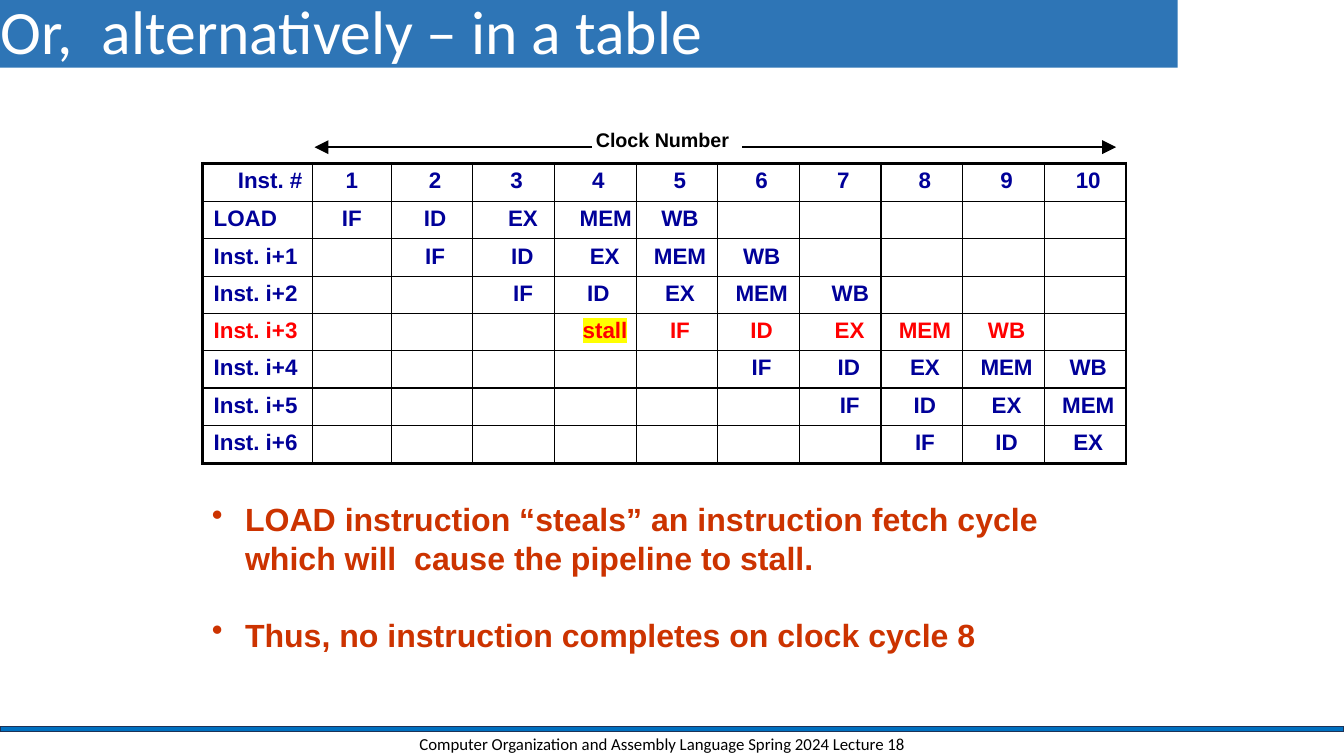
from dataclasses import dataclass

from lxml.etree import SubElement
from pptx import Presentation
from pptx.dml.color import RGBColor as RGB
from pptx.enum.shapes import MSO_CONNECTOR as CONN, MSO_SHAPE as SHAPE
from pptx.enum.text import MSO_ANCHOR as ANCHOR, MSO_AUTO_SIZE as FIT, PP_ALIGN as ALIGN
from pptx.oxml.ns import qn
from pptx.util import Inches, Pt


@dataclass(frozen=True)
class Theme:
    black: str = "000000"
    white: str = "FFFFFF"
    navy: str = "000099"
    red: str = "FF0000"
    rust: str = "CC3300"
    yellow: str = "FFFF00"
    title_fill: str = "2E75B6"
    bar_fill: str = "0070C0"
    bar_line: str = "1E3256"
    title: float = 44
    bullet: float = 22.9
    cell: float = 16
    clock: float = 14.1
    footer: float = 12
    heading_font: str = "Calibri"
    body_font: str = "Arial"


T = Theme()


def write(p, text, color, size, name=T.body_font, bold=True, indent=0, hanging=0, align=ALIGN.LEFT):
    p.alignment = align
    pPr = p._p.get_or_add_pPr()
    pPr.set("marL", str(Inches(indent)))
    pPr.set("indent", str(Inches(hanging)))
    r = p.add_run()
    r.text = text
    for key, value in {"name": name, "size": Pt(size), "bold": bold}.items():
        setattr(r.font, key, value)
    r.font.color.rgb = RGB.from_string(color)
    return r


def set_frame(tf, left=0, top=0, right=0, bottom=0, wrap=True, anchor=ANCHOR.TOP):
    frame = {"margin_left": Inches(left), "margin_top": Inches(top), "margin_right": Inches(right),
             "margin_bottom": Inches(bottom), "word_wrap": wrap, "vertical_anchor": anchor,
             "auto_size": FIT.NONE}
    for key, value in frame.items():
        setattr(tf, key, value)
    return tf.paragraphs[0]


prs = Presentation()
prs.slide_width, prs.slide_height = Inches(13.33), Inches(7.5)
s = prs.slides.add_slide(prs.slide_layouts[5])

# Title band
title = s.shapes.title
title.left, title.top, title.width, title.height = map(Inches, (0, -0.08, 11.68, 0.75))
title.fill.solid()
title.fill.fore_color.rgb = RGB.from_string(T.title_fill)
p = set_frame(title.text_frame, top=0.01, anchor=ANCHOR.MIDDLE)
write(p, "Or,\talternatively – in a table", T.white, T.title, T.heading_font, False, 0.01)
tabs = SubElement(p._p.pPr, qn("a:tabLst"))
SubElement(tabs, qn("a:tab"), pos=str(Inches(1.02)), algn="l")

# Footer bar and text
bar = s.shapes.add_shape(SHAPE.RECTANGLE, 0, Inches(7.21), prs.slide_width, Inches(0.05))
bar.shadow.inherit = False
bar.fill.solid()
bar.fill.fore_color.rgb = RGB.from_string(T.bar_fill)
bar.line.color.rgb = RGB.from_string(T.bar_line)
bar.line.width = Pt(1)
footer = s.shapes.add_textbox(*map(Inches, (3.92, 7.24, 5.3, 0.28)))
p = set_frame(footer.text_frame, 0.1, 0.05, 0.1, 0.05, anchor=ANCHOR.MIDDLE)
write(p, "Computer Organization and Assembly Language Spring 2024 Lecture 18",
      T.black, T.footer, T.heading_font, False, align=ALIGN.CENTER)

# Pipeline schedule: each instruction and the cycle of its fetch
stages = ["IF", "ID", "EX", "MEM", "WB"]
cycles = 10
starts = {"LOAD": 1, "Inst. i+1": 2, "Inst. i+2": 3, "Inst. i+3": 5,
          "Inst. i+4": 6, "Inst. i+5": 7, "Inst. i+6": 8}
schedule = [["Inst. #"] + [str(n) for n in range(1, cycles + 1)]]
for label, start in starts.items():
    row = [label] + [""] * (start - 1) + stages
    schedule.append((row + [""] * cycles)[:cycles + 1])
stalled = 4
schedule[stalled][4] = "stall"

# Stages set by a left indent rather than centred
stage_indent = {"IF": 0.4, "ID": 0.38, "EX": 0.35, "MEM": 0.25, "WB": 0.32, "stall": 0.28}
indented_cells = {(i, j) for i in range(1, 8) for j in (3, 7)} | {(1, 4), (2, 4), (4, 4)}

# Pipeline table
rows, cols = len(schedule), cycles + 1
table = s.shapes.add_table(rows, cols, *map(Inches, (2.01, 1.62, 9.15, 2.96))).table
table.first_row = table.horz_banding = False
for j in range(cols):
    table.columns[j].width = Inches({0: 1.09, 1: 0.78}.get(j, 0.81))
for i, row in enumerate(schedule):
    table.rows[i].height = Inches(0.38 if i in (0, rows - 1) else 0.37)
    for j, text in enumerate(row):
        cell = table.cell(i, j)
        cell.fill.background()
        for side, inset in {"left": 0, "top": 0.05, "right": 0, "bottom": 0}.items():
            setattr(cell, f"margin_{side}", Inches(inset))
        outer = {"L": j == 0, "R": j == cols - 1, "T": i == 0, "B": i == rows - 1}
        tcPr = cell._tc.get_or_add_tcPr()
        for n, (side, is_outer) in enumerate(outer.items()):
            ln = SubElement(tcPr, qn(f"a:ln{side}"), w=str(Pt(2.25 if is_outer else 1)))
            SubElement(SubElement(ln, qn("a:solidFill")), qn("a:srgbClr"), val=T.black)
            tcPr.insert(n, ln)
        if not text:
            continue
        if j == 0:
            indent, align = (0.11 if i else 0.35), ALIGN.LEFT
        elif (i, j) in indented_cells:
            indent, align = stage_indent[text], ALIGN.LEFT
        else:
            indent, align = (0 if j == 1 else 0.06), ALIGN.CENTER
        r = write(cell.text_frame.paragraphs[0], text, T.red if i == stalled else T.navy,
                  T.cell, indent=indent, align=align)
        if text == "stall":
            rPr = r.font._element
            highlight = SubElement(rPr, qn("a:highlight"))
            SubElement(highlight, qn("a:srgbClr"), val=T.yellow)
            rPr.find(qn("a:solidFill")).addnext(highlight)

# Clock heading with an arrow on each side
clock = s.shapes.add_textbox(*map(Inches, (5.9, 1.26, 1.35, 0.25)))
p = set_frame(clock.text_frame, top=0.01, wrap=False)
write(p, "Clock Number", T.black, T.clock, indent=0.01)
for x_from, x_to in ((5.87, 3.12), (7.36, 11.07)):
    arrow = s.shapes.add_connector(CONN.STRAIGHT, *map(Inches, (x_from, 1.46, x_to, 1.46)))
    arrow.line.color.rgb = RGB.from_string(T.black)
    arrow.line.width = Pt(1)
    SubElement(arrow.line._get_or_add_ln(), qn("a:tailEnd"), type="triangle", w="lg", len="lg")
    SubElement(arrow._element.spPr, qn("a:effectLst"))

# Conclusions
notes = s.shapes.add_textbox(*map(Inches, (2.09, 4.93, 8.91, 1.55)))
p = set_frame(notes.text_frame, top=0.03)
conclusions = ["LOAD instruction “steals” an instruction fetch cycle which will  cause the pipeline to stall.",
               "Thus, no instruction completes on clock cycle 8"]
for n, text in enumerate(conclusions):
    if n:
        p = notes.text_frame.add_paragraph()
        p.space_before = Pt(27.4)
    p.line_spacing = Pt(27.4)
    SubElement(p._p.get_or_add_pPr(), qn("a:buChar"), char="•")
    write(p, text, T.rust, T.bullet, indent=0.34, hanging=-0.33)

prs.save("out.pptx")
